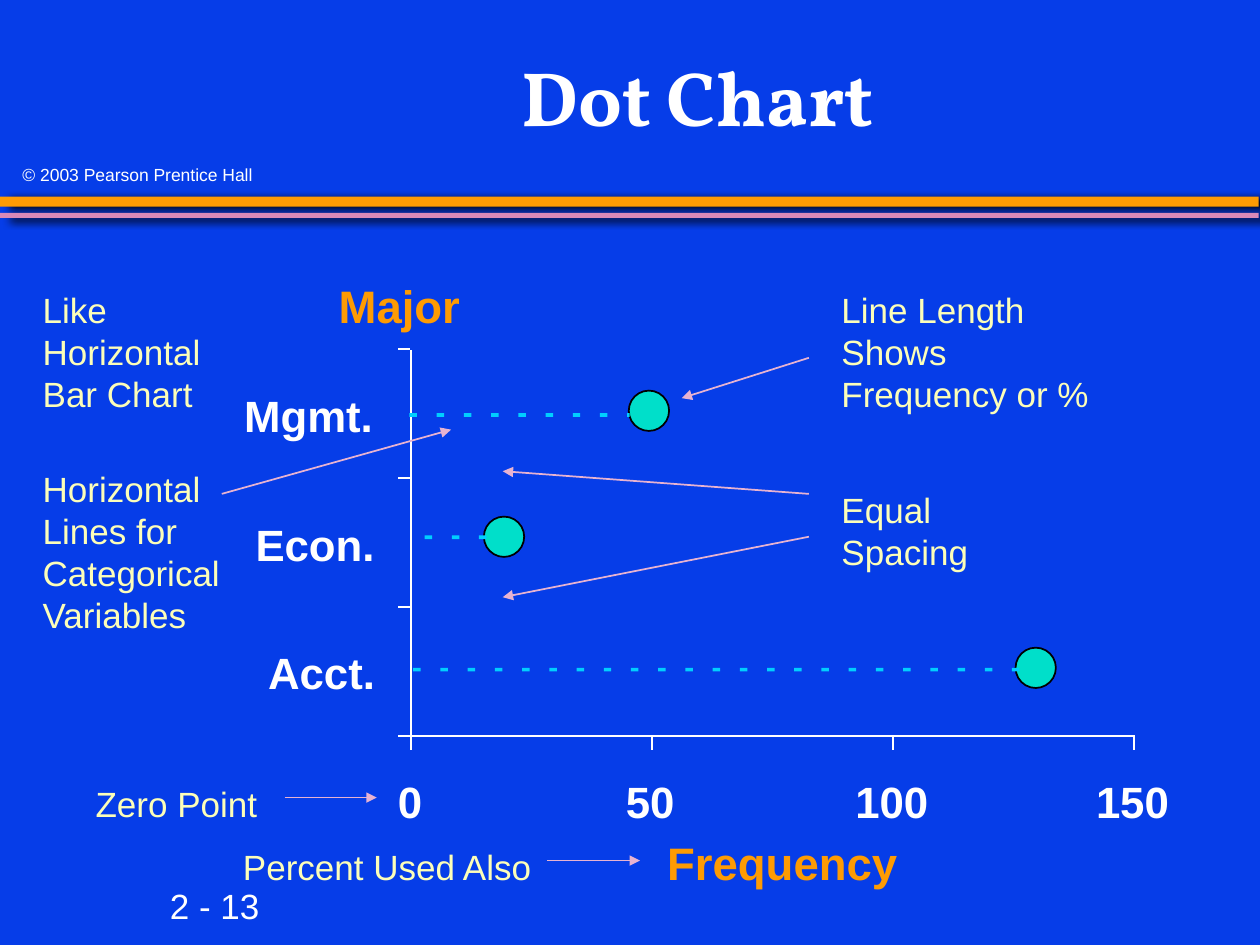
from lxml import etree
from pptx import Presentation
from pptx.dml.color import RGBColor
from pptx.enum import shapes, text
from pptx.oxml import ns
from pptx.util import Inches, Pt

HUES = {"back": "063DE8", "gold": "FE9B03", "pink": "D989B8", "white": "FFFFFF",
        "dot": "00DFCA", "dash": "00CFFF", "black": "000000",
        "note": "FCFEB9", "arrow": "E7B3D1"}
HUES = {name: RGBColor.from_string(code) for name, code in HUES.items()}

deck = Presentation()
deck.slide_width, deck.slide_height = Inches(10), Inches(7.5)
slide = deck.slides.add_slide(deck.slide_layouts[5])
slide.background.fill.solid()
slide.background.fill.fore_color.rgb = HUES["back"]
KIND = shapes.MSO_SHAPE


def add_text(words, left, top, wide, high, size, hue, bold=False, wrap=True, mid=False):
    frame = slide.shapes.add_textbox(*map(Inches, (left, top, wide, high))).text_frame
    frame.word_wrap = wrap
    para = frame.paragraphs[0]
    para.alignment = text.PP_ALIGN.CENTER if mid else text.PP_ALIGN.LEFT
    run = para.add_run()
    run.text = words
    run.font.name, run.font.size, run.font.bold = "Arial", Pt(size), bold
    run.font.color.rgb = HUES[hue]


def add_line(x1, y1, x2, y2, hue="white", head=False):
    line = slide.shapes.add_connector(
        shapes.MSO_CONNECTOR.STRAIGHT, *map(Inches, (x1, y1, x2, y2)))
    line.line.width = Pt(1)
    line.line.color.rgb = HUES[hue]
    if head:
        etree.SubElement(line.line._get_or_add_ln(), ns.qn("a:tailEnd"), type="triangle")
    etree.SubElement(line._element.spPr, ns.qn("a:effectLst"))


# Double rule under the heading, with shadows
for top, high, hue, dist, turn in ((1.56, 0.08, "gold", 6.1, 9), (1.69, 0.04, "pink", 6.3, 18)):
    bar = slide.shapes.add_shape(KIND.RECTANGLE, 0, Inches(top), Inches(9.99), Inches(high))
    bar.fill.solid()
    bar.fill.fore_color.rgb = HUES[hue]
    bar.line.fill.background()
    bar.shadow.inherit = False
    glow = etree.SubElement(
        bar._element.spPr.find(ns.qn("a:effectLst")), ns.qn("a:outerShdw"),
        blurRad=str(Pt(5)), dist=str(Pt(dist)), dir=str(turn * 60000),
        algn="ctr", rotWithShape="0")
    etree.SubElement(glow, ns.qn("a:srgbClr"), val=str(HUES["black"]))

# Title, page number and copyright
title = slide.shapes.title
title.left, title.top, title.width, title.height = map(Inches, (1.83, 0.17, 7.42, 1.25))
title.text_frame.vertical_anchor = text.MSO_ANCHOR.MIDDLE
para = title.text_frame.paragraphs[0]
para.alignment, para.line_spacing = text.PP_ALIGN.CENTER, 0.95
run = para.add_run()
run.text = "Dot Chart"
run.font.name, run.font.size, run.font.bold = "Vollkorn", Pt(44), True
run.font.color.rgb = HUES["white"]
add_text("2 - 13", 1.25, 6.97, 0.92, 0.44, 20, "white", wrap=False)
add_text("© 2003 Pearson Prentice Hall", 0.08, 1.25, 2.18, 0.26, 10, "white")

# Axes and tick marks
zero, base = 3.26, 5.84
add_line(zero, base, 9, base)
add_line(zero, 2.78, zero, base)
for step in range(4):
    tick = zero + step * 1.913
    add_line(tick, 5.95, tick, 5.83)
    rung = base - step * 1.023
    add_line(3.16, rung, 3.25, rung)

# Axis labels
for words, left, wide in (("0", 3.06, 0.4), ("50", 4.87, 0.6),
                          ("100", 6.69, 0.79), ("150", 8.6, 0.79)):
    add_text(words, left, 6.1, wide, 0.53, 25, "white", True, False)
for words, left, top, wide in (("Acct.", 2.03, 5.08, 1.06), ("Econ.", 1.93, 4.06, 1.16),
                               ("Mgmt.", 1.84, 3.04, 1.24)):
    add_text(words, left, top, wide, 0.53, 25, "white", True, False)

# Dots, each with its dashed line: dot corner, first dash, dash top, count, last width
rows = ((4.99, 3.1, 3.25, 3.28, 9, 0.02),
        (3.84, 4.1, 3.37, 4.25, 3, 0.06),
        (8.06, 5.14, 3.28, 5.3, 23, 0.06))
for left, top, start, level, count, last in rows:
    dot = slide.shapes.add_shape(KIND.OVAL, *map(Inches, (left, top, 0.32, 0.32)))
    dot.fill.solid()
    dot.fill.fore_color.rgb = HUES["dot"]
    dot.line.color.rgb = HUES["black"]
    dot.line.width = Pt(1)
    dot.shadow.inherit = False
    for step in range(count):
        wide = last if step == count - 1 else 0.06
        dash = slide.shapes.add_shape(
            KIND.RECTANGLE, *map(Inches, (start + step * 0.216, level, wide, 0.03)))
        dash.fill.solid()
        dash.fill.fore_color.rgb = HUES["dash"]
        dash.line.fill.background()
        dash.shadow.inherit = False

# Axis titles
add_text("Frequency", 4.83, 6.58, 2.76, 0.55, 26, "gold", True, mid=True)
add_text("Major", 2.08, 2.16, 2.18, 0.55, 26, "gold", True, mid=True)

# Notes and their arrows
for words, *box in (
        ("Line Length Shows Frequency or %", 6.58, 2.24, 2.26, 1.11),
        ("Equal Spacing", 6.58, 3.83, 1.68, 0.78),
        ("Like Horizontal Bar Chart", 0.24, 2.24, 1.68, 1.11),
        ("Percent Used Also", 1.83, 6.66, 2.68, 0.44),
        ("Horizontal Lines for Categorical Variables", 0.24, 3.66, 1.68, 1.44),
        ("Zero Point", 0.66, 6.16, 1.68, 0.44)):
    add_text(words, *box, 20, "note")
for ends in ((6.42, 2.84, 5.41, 3.16), (6.42, 4.26, 3.99, 4.74), (6.42, 3.92, 3.99, 3.74),
             (4.34, 6.83, 5.08, 6.83), (1.76, 3.92, 3.58, 3.41), (2.26, 6.33, 2.99, 6.33)):
    add_line(*ends, "arrow", True)

deck.save("out.pptx")
